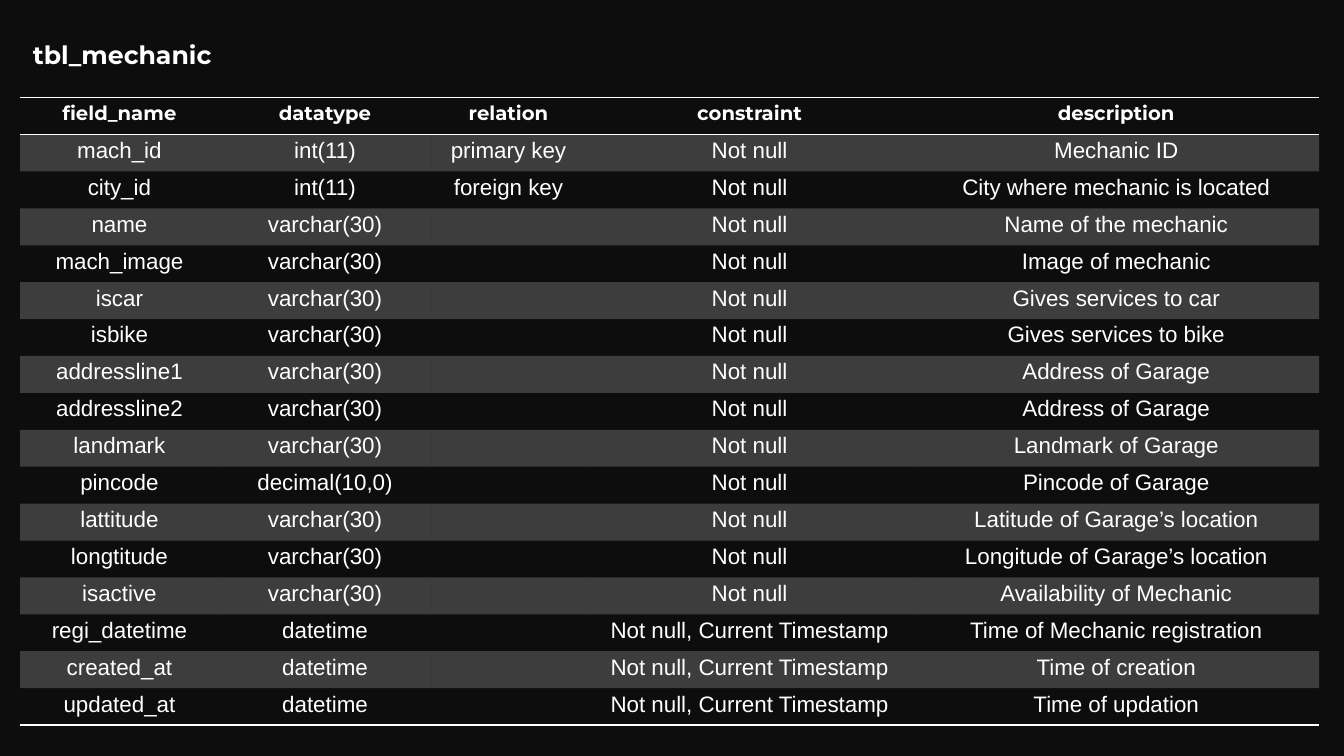
from lxml import etree
from pptx import Presentation
from pptx.dml.color import RGBColor
from pptx.enum.text import MSO_ANCHOR, PP_ALIGN
from pptx.oxml.ns import qn
from pptx.util import Cm, Pt

WHITE = "FFFFFF"
BACKGROUND = "0D0D0D"
NO_GRID_STYLE = "{2D5ABB26-0587-4C30-8999-92F81FD0307C}"
COLUMN_WIDTHS = [5.0, 5.36, 3.89, 8.26, 10.22]
ROW_HEIGHT = 0.93

HEADINGS = ("field_name", "datatype", "relation", "constraint", "description")
REQUIRED = "Not null"
STAMPED = "Not null, Current Timestamp"
FIELDS = [
    ("mach_id", "int(11)", "primary key", REQUIRED, "Mechanic ID"),
    ("city_id", "int(11)", "foreign key", REQUIRED, "City where mechanic is located"),
    ("name", "varchar(30)", "", REQUIRED, "Name of the mechanic"),
    ("mach_image", "varchar(30)", "", REQUIRED, "Image of mechanic"),
    ("iscar", "varchar(30)", "", REQUIRED, "Gives services to car"),
    ("isbike", "varchar(30)", "", REQUIRED, "Gives services to bike"),
    ("addressline1", "varchar(30)", "", REQUIRED, "Address of Garage"),
    ("addressline2", "varchar(30)", "", REQUIRED, "Address of Garage"),
    ("landmark", "varchar(30)", "", REQUIRED, "Landmark of Garage"),
    ("pincode", "decimal(10,0)", "", REQUIRED, "Pincode of Garage"),
    ("lattitude", "varchar(30)", "", REQUIRED, "Latitude of Garage’s location"),
    ("longtitude", "varchar(30)", "", REQUIRED, "Longitude of Garage’s location"),
    ("isactive", "varchar(30)", "", REQUIRED, "Availability of Mechanic"),
    ("regi_datetime", "datetime", "", STAMPED, "Time of Mechanic registration"),
    ("created_at", "datetime", "", STAMPED, "Time of creation"),
    ("updated_at", "datetime", "", STAMPED, "Time of updation"),
]


def color(value):
    return RGBColor.from_string(value)


def set_font(para, name, size, bold):
    para.font.name = name
    para.font.size = Pt(size)
    para.font.bold = bold
    para.font.color.rgb = color(WHITE)


def add_title(page, text, left, top, width, height):
    box = page.shapes.add_textbox(Cm(left), Cm(top), Cm(width), Cm(height))
    frame = box.text_frame
    frame.vertical_anchor = MSO_ANCHOR.MIDDLE
    frame.text = text
    set_font(frame.paragraphs[0], "Montserrat", 18, True)


def add_border(cell, side):
    """Draw a thin white line on one side of a cell, before its fill is set."""
    line = etree.SubElement(cell._tc.get_or_add_tcPr(), qn(f"a:ln{side}"), w=str(Pt(1)))
    fill = etree.SubElement(line, qn("a:solidFill"))
    etree.SubElement(fill, qn("a:srgbClr"), val=WHITE)


def shade(cell, alpha):
    """Fill a cell with white at the given opacity in percent."""
    cell.fill.solid()
    cell.fill.fore_color.rgb = color(WHITE)
    tint = cell._tc.tcPr.find(".//" + qn("a:solidFill") + "/" + qn("a:srgbClr"))
    for tint in cell._tc.tcPr.findall(qn("a:solidFill") + "/" + qn("a:srgbClr")):
        etree.SubElement(tint, qn("a:alpha"), val=str(alpha * 1000))


def fill_cell(cell, text, is_heading):
    cell.margin_left = cell.margin_right = Cm(0.19)
    cell.margin_top = cell.margin_bottom = 0
    cell.text = text
    para = cell.text_frame.paragraphs[0]
    para.alignment = PP_ALIGN.CENTER
    para.line_spacing = 1.15
    para.space_after = Pt(10)
    if is_heading:
        set_font(para, "Montserrat", 14, True)
    else:
        set_font(para, "Arial", 16, False)


def add_field_table(page, rows, left, top):
    frame = page.shapes.add_table(
        len(rows), len(COLUMN_WIDTHS), Cm(left), Cm(top),
        Cm(sum(COLUMN_WIDTHS)), Cm(ROW_HEIGHT * len(rows)))
    table = frame.table
    table.first_row = table.horz_banding = False
    table._tbl.tblPr.find(qn("a:tableStyleId")).text = NO_GRID_STYLE
    for column, width in zip(table.columns, COLUMN_WIDTHS):
        column.width = Cm(width)
    last = len(rows) - 1
    for r, texts in enumerate(rows):
        table.rows[r].height = Cm(ROW_HEIGHT)
        for c, text in enumerate(texts):
            cell = table.cell(r, c)
            fill_cell(cell, text, r == 0)
            if r == 0:
                add_border(cell, "T")
            if r in (0, last):
                add_border(cell, "B")
            if r % 2:
                shade(cell, 20)
            else:
                cell.fill.background()


def main():
    deck = Presentation()
    deck.slide_width, deck.slide_height = Cm(33.87), Cm(19.05)
    page = deck.slides.add_slide(deck.slide_layouts[6])
    page.background.fill.solid()
    page.background.fill.fore_color.rgb = color(BACKGROUND)
    add_field_table(page, [HEADINGS, *FIELDS], 0.51, 2.46)
    add_title(page, "tbl_mechanic", 0.58, 0.86, 5.16, 1.0)
    deck.save("out.pptx")


if __name__ == "__main__":
    main()
